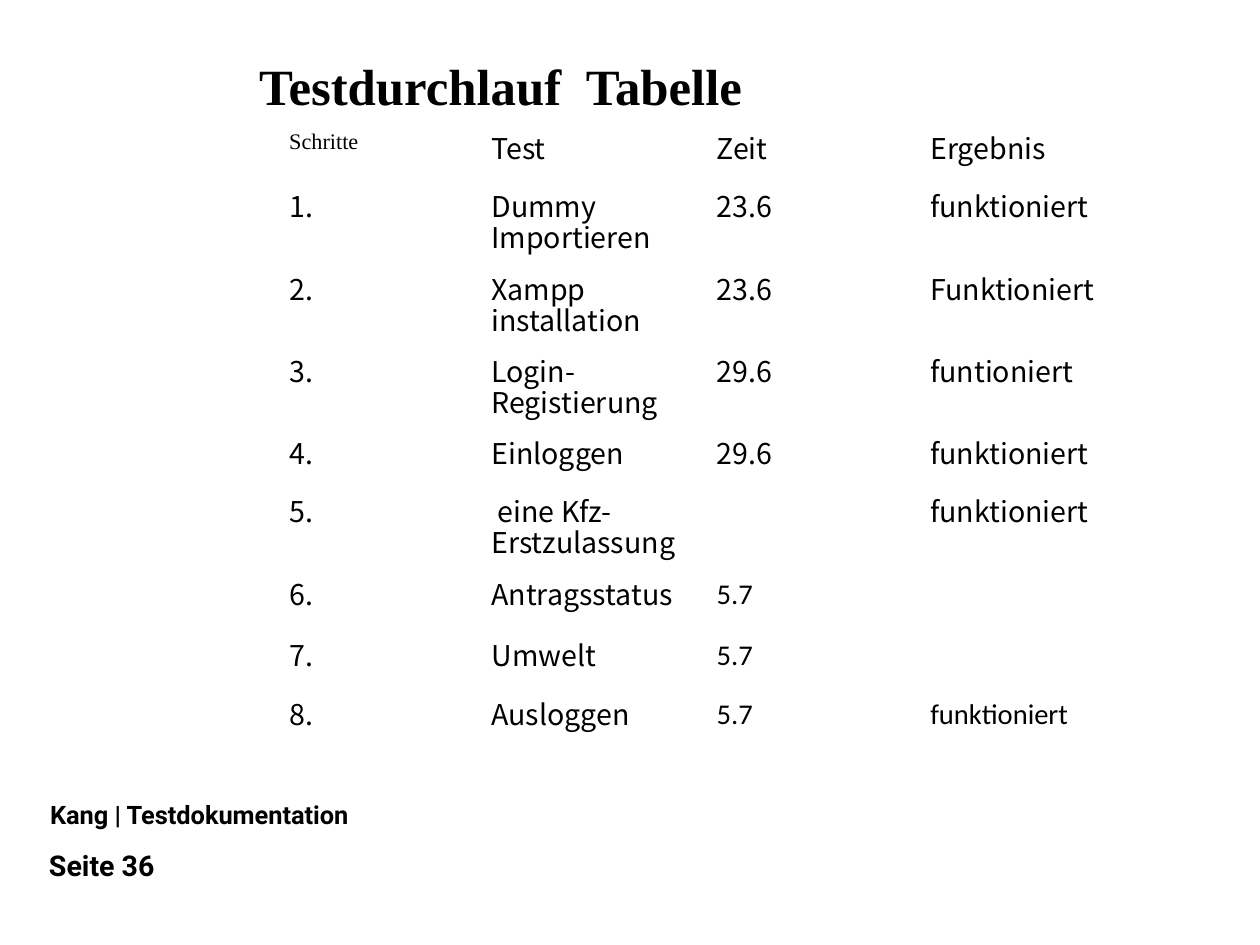
from pptx import Presentation
from pptx.dml.color import RGBColor
from pptx.util import Inches, Pt

BLACK = RGBColor(0x00, 0x00, 0x00)
SERIF = "Times New Roman"
SANS = "Noto Sans CJK SC"
CALIBRI = "Calibri"
FOOTER_FONT = "Roboto"

CENTIMETRES_PER_INCH = 2.54
SLIDE_WIDTH = 28 / CENTIMETRES_PER_INCH
SLIDE_HEIGHT = 21 / CENTIMETRES_PER_INCH

COLUMN_WIDTHS = [1.77, 1.97, 1.87, 1.86]
ROW_HEIGHTS = [0.51, 0.72, 0.72, 0.72, 0.51, 0.72, 0.54, 0.51, 0.51]
TEST_ROWS = [
    ["Schritte", "Test", "Zeit", "Ergebnis"],
    ["1.", "Dummy Importieren", "23.6", "funktioniert"],
    ["2.", "Xampp installation", "23.6", "Funktioniert"],
    ["3.", "Login-Registierung", "29.6", "funtioniert"],
    ["4.", "Einloggen", "29.6", "funktioniert"],
    ["5.", " eine Kfz-Erstzulassung", "", "funktioniert"],
    ["6.", "Antragsstatus", "5.7", ""],
    ["7.", "Umwelt", "5.7", ""],
    ["8.", "Ausloggen", "5.7", "funktioniert"],
]
FIRST_CALIBRI_ROW = 6
FIRST_CALIBRI_COLUMN = 2


def format_paragraph(paragraph, font_name, size, bold=False):
    paragraph.font.size = Pt(size)
    for run in paragraph.runs:
        run.font.name = font_name
        run.font.size = Pt(size)
        run.font.bold = bold
        run.font.color.rgb = BLACK


def add_label(slide, box, text, font_name, size):
    shape = slide.shapes.add_textbox(*map(Inches, box))
    text_frame = shape.text_frame
    text_frame.word_wrap = True
    text_frame.text = text
    format_paragraph(text_frame.paragraphs[0], font_name, size, bold=True)


def cell_style(row_index, column_index):
    if row_index == 0 and column_index == 0:
        return SERIF, 14, 0.75
    if row_index >= FIRST_CALIBRI_ROW and column_index >= FIRST_CALIBRI_COLUMN:
        return CALIBRI, 18, 0.85
    return SANS, 18, 0.75


def add_test_table(slide, box):
    frame = slide.shapes.add_table(len(TEST_ROWS), len(COLUMN_WIDTHS), *map(Inches, box))
    table = frame.table
    table.first_row = False
    table.horz_banding = False
    for column, width in zip(table.columns, COLUMN_WIDTHS):
        column.width = Inches(width)
    for row, height in zip(table.rows, ROW_HEIGHTS):
        row.height = Inches(height)
    for row_index, texts in enumerate(TEST_ROWS):
        for column_index, text in enumerate(texts):
            cell = table.cell(row_index, column_index)
            cell.fill.background()
            cell.text_frame.text = text
            paragraph = cell.text_frame.paragraphs[0]
            font_name, size, line_spacing = cell_style(row_index, column_index)
            paragraph.line_spacing = line_spacing
            format_paragraph(paragraph, font_name, size)


def add_footer(slide, box):
    left, top, width, height = box
    add_label(slide, (left + 0.01, top, width - 0.01, 0.37), "Kang | Testdokumentation", FOOTER_FONT, 16)
    add_label(slide, (left, top + height - 0.44, 3.31, 0.44), "Seite 36", FOOTER_FONT, 18)


def main():
    presentation = Presentation()
    presentation.slide_width = Inches(SLIDE_WIDTH)
    presentation.slide_height = Inches(SLIDE_HEIGHT)
    slide = presentation.slides.add_slide(presentation.slide_layouts[6])
    add_footer(slide, (0.33, 6.94, 7.24, 0.87))
    add_label(slide, (2.17, 0.43, 5.9, 0.63), "Testdurchlauf  Tabelle", SERIF, 32)
    add_test_table(slide, (2.43, 1.13, sum(COLUMN_WIDTHS), sum(ROW_HEIGHTS)))
    presentation.save("out.pptx")


if __name__ == "__main__":
    main()
